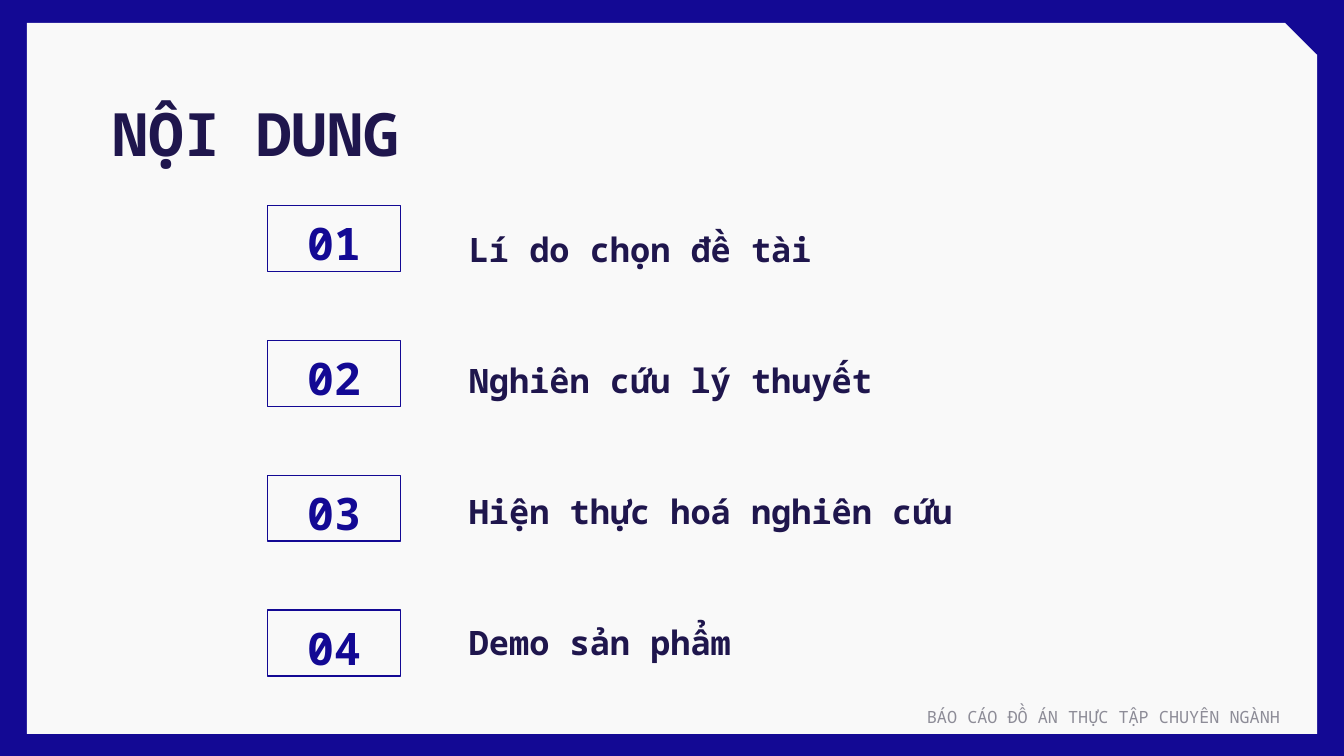
from dataclasses import dataclass

from pptx import Presentation
from pptx.dml.color import RGBColor
from pptx.enum.shapes import MSO_SHAPE as Kind
from pptx.enum.text import MSO_ANCHOR as Anchor, PP_ALIGN as Align
from pptx.shapes.autoshape import Shape
from pptx.slide import Slide
from pptx.util import Inches, Pt

BLUE = RGBColor(0x13, 0x09, 0x94)
PAPER = RGBColor(0xF9, 0xF9, 0xF9)
INK = RGBColor(0x1F, 0x16, 0x4D)
GREY = RGBColor(0x8D, 0x8C, 0x97)
FONT = "Noto Sans Mono"
WIDTH = 10
HEIGHT = WIDTH * 9 / 16


@dataclass(frozen=True)
class Box:
    left: float
    top: float
    width: float
    height: float

    def emu(self) -> list[Inches]:
        return [Inches(n) for n in (self.left, self.top, self.width, self.height)]


@dataclass(frozen=True)
class Style:
    size: float
    color: RGBColor
    bold: bool = True
    anchor: Anchor = Anchor.TOP
    align: Align = Align.LEFT
    space: float = 1.15
    pad: float = 0.1


@dataclass(frozen=True)
class Item:
    label: str
    width: float


TITLE = Style(32, INK)
NUMBER = Style(24, BLUE, anchor=Anchor.MIDDLE, align=Align.CENTER)
LABEL = Style(18, INK, anchor=Anchor.BOTTOM)
FOOTER = Style(9, GREY, bold=False, anchor=Anchor.MIDDLE,
               align=Align.RIGHT, space=1.0, pad=0.05)

ITEMS = [
    Item("Lí do chọn đề tài", 3.1),
    Item("Nghiên cứu lý thuyết", 3.47),
    Item("Hiện thực hoá nghiên cứu", 3.93),
    Item("Demo sản phẩm", 3.1),
]


def write(shape: Shape, text: str, style: Style) -> None:
    frame = shape.text_frame
    pad = Inches(style.pad)
    layout = {"word_wrap": True, "vertical_anchor": style.anchor,
              "margin_left": Inches(0.1), "margin_right": Inches(0.1),
              "margin_top": pad, "margin_bottom": pad}
    for name, value in layout.items():
        setattr(frame, name, value)
    para = frame.paragraphs[0]
    para.alignment = style.align
    para.line_spacing = style.space
    run = para.add_run()
    run.text = text
    look = {"name": FONT, "size": Pt(style.size), "bold": style.bold}
    for name, value in look.items():
        setattr(run.font, name, value)
    run.font.color.rgb = style.color


def add_text(slide: Slide, box: Box, text: str, style: Style) -> None:
    write(slide.shapes.add_textbox(*box.emu()), text, style)


def add_panel(slide: Slide) -> None:
    panel = slide.shapes.add_shape(Kind.SNIP_1_RECTANGLE,
                                   *Box(0.2, 0.17, 9.6, 5.29).emu())
    panel.adjustments[0] = 0.045
    panel.shadow.inherit = False
    panel.fill.solid()
    panel.fill.fore_color.rgb = PAPER
    panel.line.fill.background()


def add_item(slide: Slide, index: int, item: Item) -> None:
    frame = slide.shapes.add_shape(Kind.RECTANGLE,
                                   *Box(1.99, 1.53 + 3.01 / 3 * index, 0.99, 0.49).emu())
    frame.shadow.inherit = False
    frame.fill.background()
    frame.line.color.rgb = BLUE
    frame.line.width = Pt(0.75)
    write(frame, f"{index + 1:02}", NUMBER)
    add_text(slide, Box(3.39, 1.57 + 2.93 / 3 * index, item.width, 0.53),
             item.label, LABEL)


def main() -> None:
    deck = Presentation()
    deck.slide_width, deck.slide_height = Inches(WIDTH), Inches(HEIGHT)
    slide = deck.slides.add_slide(deck.slide_layouts[6])

    # Background and panel
    slide.background.fill.solid()
    slide.background.fill.fore_color.rgb = BLUE
    add_panel(slide)

    # Heading and numbered contents
    add_text(slide, Box(0.74, 0.54, 2.5, 0.63), "NỘI DUNG", TITLE)
    for index, item in enumerate(ITEMS):
        add_item(slide, index, item)

    # Footer
    add_text(slide, Box(6.77, 5.19, 2.85, 0.29),
             "BÁO CÁO ĐỒ ÁN THỰC TẬP CHUYÊN NGÀNH", FOOTER)
    deck.save("out.pptx")


if __name__ == "__main__":
    main()
